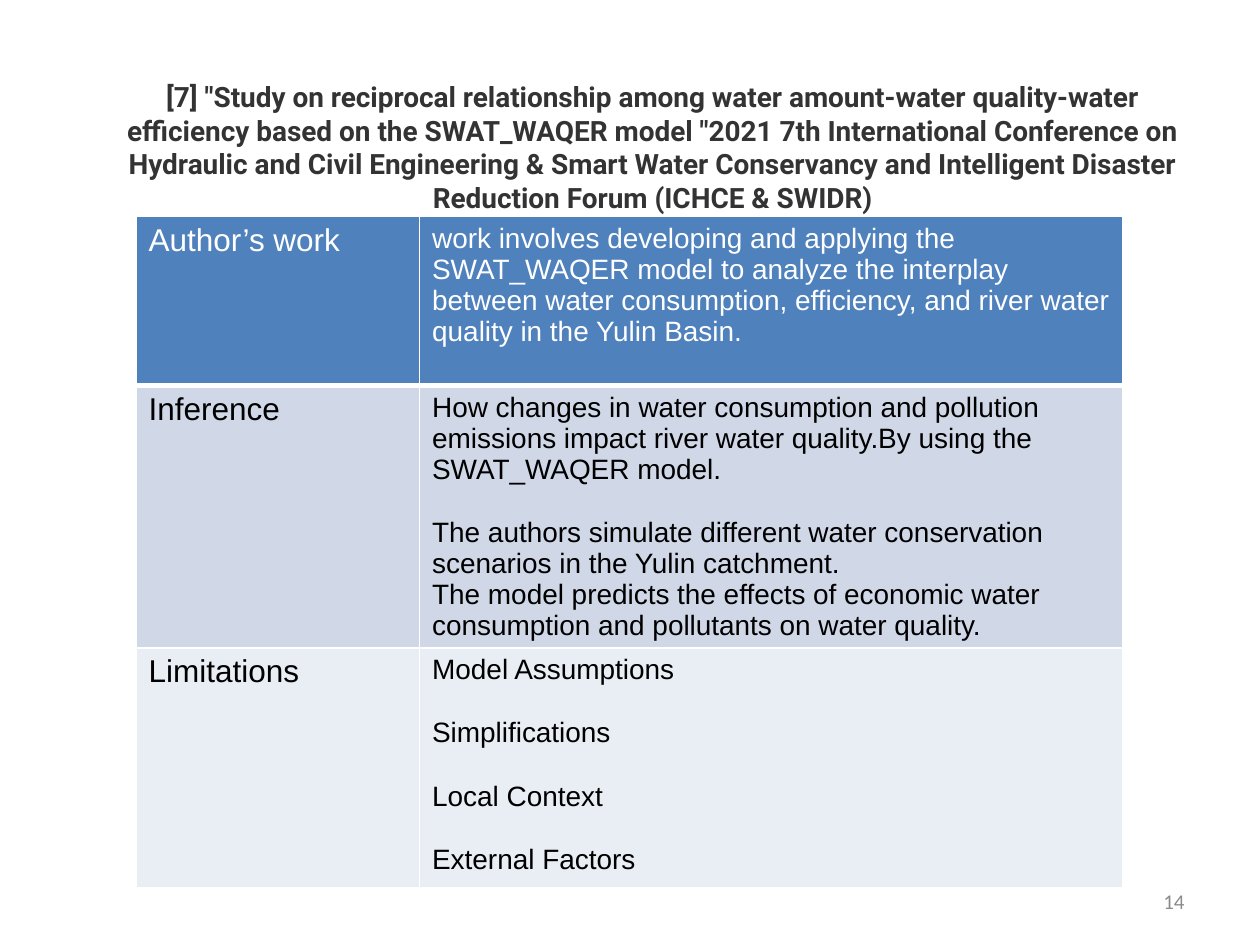
from lxml import etree
from pptx import Presentation, util as u
from pptx.dml.color import RGBColor
from pptx.enum import text
from pptx.oxml.ns import qn

WHITE = RGBColor(0xFF, 0xFF, 0xFF)
BLACK = RGBColor(0, 0, 0)
TITLE_GREY = RGBColor(0x33, 0x33, 0x33)
NUMBER_GREY = RGBColor(0x8B, 0x8B, 0x8B)
HEADER_BLUE = RGBColor(0x4F, 0x81, 0xBD)
BAND_DARK = RGBColor(0xD0, 0xD8, 0xE8)
BAND_LIGHT = RGBColor(0xE9, 0xED, 0xF4)

TITLE = (
    '[7] "Study on reciprocal relationship among water amount-water quality-water '
    'efficiency based on the SWAT_WAQER model "2021 7th International Conference on '
    'Hydraulic and Civil Engineering & Smart Water Conservancy and Intelligent '
    'Disaster Reduction Forum (ICHCE & SWIDR)'
)
PAGE_NUMBER = "14"
LINE_GAP = 18.4  # one line of 16-point Arial

# Each detail is (text, space before in points).
ROWS = [
    dict(label="Author’s work", height=1.34, fill=HEADER_BLUE, color=WHITE, rule=3, details=[
        ("work involves developing and applying the SWAT_WAQER model to analyze the "
         "interplay between water consumption, efficiency, and river water quality in "
         "the Yulin Basin.", 0),
    ]),
    dict(label="Inference", height=2.07, fill=BAND_DARK, color=BLACK, rule=1, details=[
        ("How changes in water consumption and pollution emissions impact river water "
         "quality.By using the SWAT_WAQER model.", 0),
        ("The authors simulate different water conservation scenarios in the Yulin "
         "catchment.", LINE_GAP),
        ("The model predicts the effects of economic water consumption and pollutants "
         "on water quality.", 0),
    ]),
    dict(label="Limitations", height=1.9, fill=BAND_LIGHT, color=BLACK, rule=1, details=[
        ("Model Assumptions", 0),
        ("Simplifications", LINE_GAP),
        ("Local Context", LINE_GAP),
        ("External Factors", LINE_GAP),
    ]),
]
COLUMN_WIDTHS = [2.25, 5.58]
TABLE_LEFT, TABLE_TOP = 1.08, 1.72


def format_font(font, color, **values):
    font.color.rgb = color
    for name, value in values.items():
        setattr(font, name, value)


def write_paragraphs(frame, paragraphs, size, color):
    for index, (content, space_before) in enumerate(paragraphs):
        paragraph = frame.add_paragraph() if index else frame.paragraphs[0]
        paragraph.text = content
        if space_before:
            paragraph.space_before = u.Pt(space_before)
        format_font(paragraph.font, color, name="Arial", size=u.Pt(size))


def set_borders(cell, **widths):
    """Draw white cell borders; widths are points keyed by side (L, R, T, B)."""
    properties = cell._tc.get_or_add_tcPr()
    for index, (side, width) in enumerate(widths.items()):
        line = etree.Element(qn(f"a:ln{side}"), w=str(u.Pt(width)))
        fill = etree.SubElement(line, qn("a:solidFill"))
        etree.SubElement(fill, qn("a:srgbClr"), val=str(WHITE))
        properties.insert(index, line)


def place_text(shape, box, content, alignment, color, **font_values):
    for name, value in zip(("left", "top", "width", "height"), box):
        setattr(shape, name, u.Inches(value))
    frame = shape.text_frame
    frame.text = content
    frame.word_wrap = True
    frame.auto_size = text.MSO_AUTO_SIZE.NONE
    frame.vertical_anchor = text.MSO_ANCHOR.MIDDLE
    frame.paragraphs[0].alignment = alignment
    format_font(frame.paragraphs[0].font, color, **font_values)


def add_summary_table(slide):
    size = [sum(COLUMN_WIDTHS), sum(row["height"] for row in ROWS)]
    table = slide.shapes.add_table(
        len(ROWS), len(COLUMN_WIDTHS),
        *map(u.Inches, [TABLE_LEFT, TABLE_TOP] + size)).table
    for column, width in zip(table.columns, COLUMN_WIDTHS):
        column.width = u.Inches(width)

    rule_above = 1
    for index, row in enumerate(ROWS):
        table.rows[index].height = u.Inches(row["height"])
        columns = [([(row["label"], 0)], 18), (row["details"], 16)]
        for cell, (paragraphs, font_size) in zip(table.rows[index].cells, columns):
            cell.fill.solid()
            cell.fill.fore_color.rgb = row["fill"]
            set_borders(cell, L=1, R=1, T=rule_above, B=row["rule"])
            write_paragraphs(cell.text_frame, paragraphs, font_size, row["color"])
        rule_above = row["rule"]


def main():
    presentation = Presentation()
    presentation.slide_width = u.Inches(10)
    presentation.slide_height = u.Inches(7.5)
    slide = presentation.slides.add_slide(presentation.slide_layouts[5])

    place_text(slide.shapes.title, (0.87, 0.61, 8.62, 1.11), TITLE,
               text.PP_ALIGN.CENTER, TITLE_GREY, name="Roboto", size=u.Pt(16), bold=True)
    add_summary_table(slide)
    place_text(slide.shapes.add_textbox(0, 0, 0, 0), (7.17, 6.95, 2.33, 0.4), PAGE_NUMBER,
               text.PP_ALIGN.RIGHT, NUMBER_GREY, name="Calibri", size=u.Pt(12))
    presentation.save("out.pptx")


if __name__ == "__main__":
    main()
